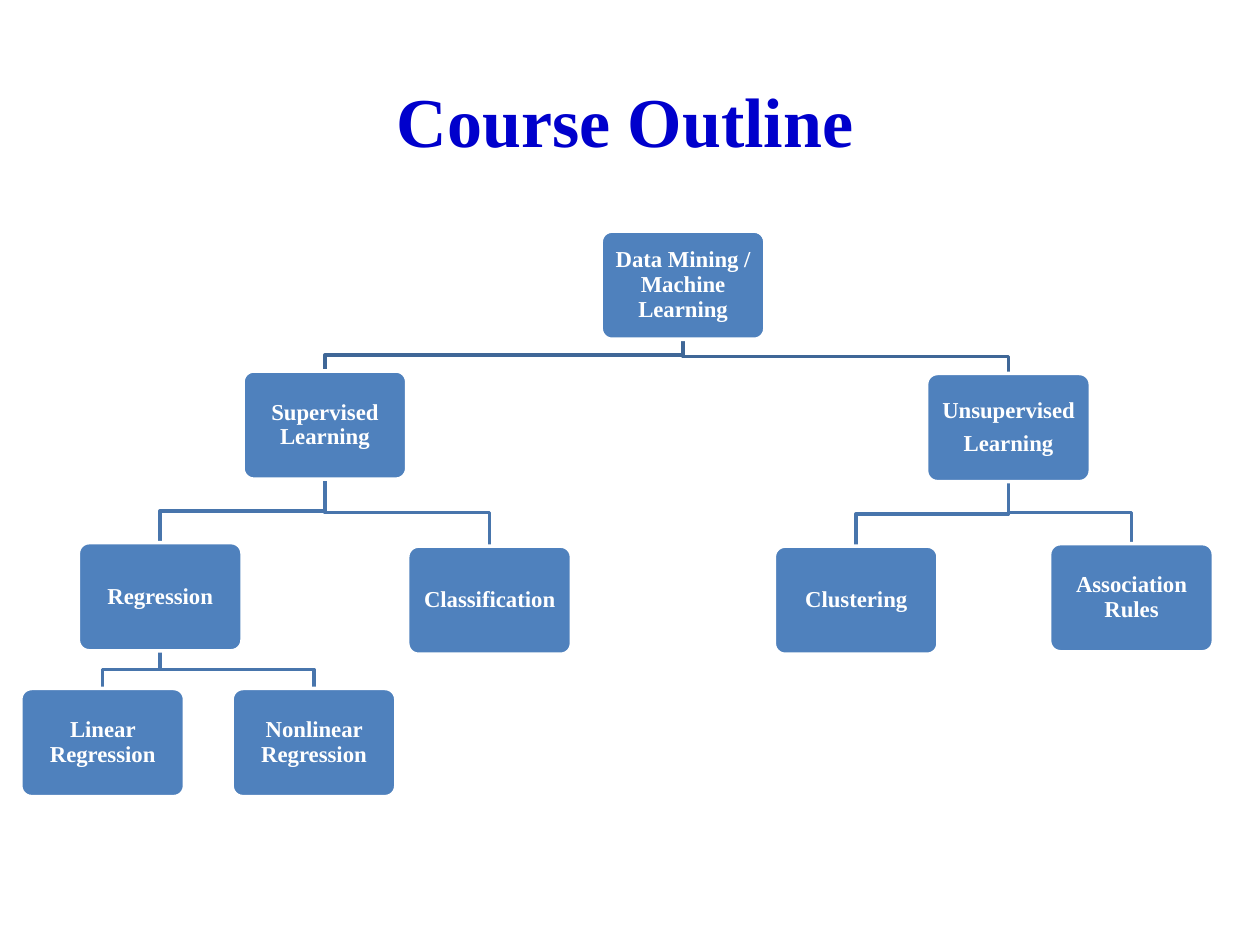
from pptx import Presentation
from pptx.dml.color import RGBColor as RGB
from pptx.enum.shapes import MSO_SHAPE as Shape
from pptx.enum.text import MSO_ANCHOR as Anchor, PP_ALIGN as Align
from pptx.util import Cm, Pt

# Content: topic, its parent, centre x and top y in cm
TITLE = "Course Outline"
ROOT = "Data Mining / Machine Learning"
SUPERVISED = "Supervised Learning"
UNSUPERVISED = "Unsupervised\nLearning"
REGRESSION = "Regression"
TOPICS = [
    (ROOT, None, 13.77, 4.66),
    (SUPERVISED, ROOT, 6.55, 7.48),
    (REGRESSION, SUPERVISED, 3.23, 10.94),
    ("Linear Regression", REGRESSION, 2.07, 13.88),
    ("Nonlinear Regression", REGRESSION, 6.33, 13.88),
    ("Classification", SUPERVISED, 9.87, 11.01),
    (UNSUPERVISED, ROOT, 20.33, 7.53),
    ("Clustering", UNSUPERVISED, 17.26, 11.01),
    ("Association Rules", UNSUPERVISED, 22.81, 10.96),
]

THEME = {
    "font": "Times New Roman",
    "title": RGB(0x00, 0x00, 0xCC),
    "title_size": Pt(40),
    "box": RGB(0x4F, 0x81, 0xBD),
    "white": RGB(0xFF, 0xFF, 0xFF),
    "topic_size": Pt(13),
    "root_branch": RGB(0x3F, 0x67, 0x97),
    "branch": RGB(0x48, 0x75, 0xAC),
    "line": Pt(2),
}
BOX_W, BOX_H = 3.3, 2.18


def write(shape, text, *, size, color, anchor, inset, spacing=1.0, gap=Pt(0)):
    frame = shape.text_frame
    frame.text = text
    frame.word_wrap = True
    frame.vertical_anchor = anchor
    frame.margin_left = frame.margin_right = inset
    frame.margin_top = frame.margin_bottom = inset
    for index, paragraph in enumerate(frame.paragraphs):
        paragraph.alignment = Align.CENTER
        paragraph.line_spacing = spacing
        paragraph.space_before = gap if index else Pt(0)
        font = paragraph.font
        font.name, font.size, font.bold = THEME["font"], size, True
        font.color.rgb = color


def add_branch(slide, parent, child, color):
    """Draw an elbow from the parent's bottom to the child's top."""
    (start_x, parent_top), (end_x, end_y) = parent, child
    start_y = parent_top + BOX_H
    middle = (start_y + end_y) / 2
    builder = slide.shapes.build_freeform(Cm(start_x), Cm(start_y))
    corners = [(start_x, middle), (end_x, middle), (end_x, end_y)]
    builder.add_line_segments([(Cm(x), Cm(y)) for x, y in corners], close=False)
    branch = builder.convert_to_shape()
    branch.shadow.inherit = False
    branch.fill.background()
    branch.line.color.rgb = color
    branch.line.width = THEME["line"]


def add_topic(slide, topic, center, top):
    box = slide.shapes.add_shape(
        Shape.ROUNDED_RECTANGLE,
        Cm(center - BOX_W / 2), Cm(top), Cm(BOX_W), Cm(BOX_H))
    box.adjustments[0] = 0.1
    box.shadow.inherit = False
    box.fill.solid()
    box.fill.fore_color.rgb = THEME["box"]
    box.line.color.rgb = THEME["white"]
    box.line.width = THEME["line"]
    write(box, topic, size=THEME["topic_size"], color=THEME["white"],
          anchor=Anchor.MIDDLE, inset=Cm(0.13), spacing=0.9, gap=Pt(4.5))


def main():
    deck = Presentation()
    deck.slide_width, deck.slide_height = Cm(25.4), Cm(19.05)
    slide = deck.slides.add_slide(deck.slide_layouts[5])

    # Title
    heading = slide.shapes.title
    heading.left, heading.top = Cm(1.7), Cm(0.64)
    heading.width, heading.height = Cm(21.8), Cm(2.74)
    write(heading, TITLE, size=THEME["title_size"], color=THEME["title"],
          anchor=Anchor.BOTTOM, inset=Cm(0.13))

    # Branches lie behind the topic boxes
    places = {topic: (center, top) for topic, _, center, top in TOPICS}
    for topic, parent, *_ in TOPICS:
        if parent:
            color = THEME["root_branch" if parent == ROOT else "branch"]
            add_branch(slide, places[parent], places[topic], color)

    # Topic boxes
    for topic, (center, top) in places.items():
        add_topic(slide, topic, center, top)

    deck.save("out.pptx")


if __name__ == "__main__":
    main()
